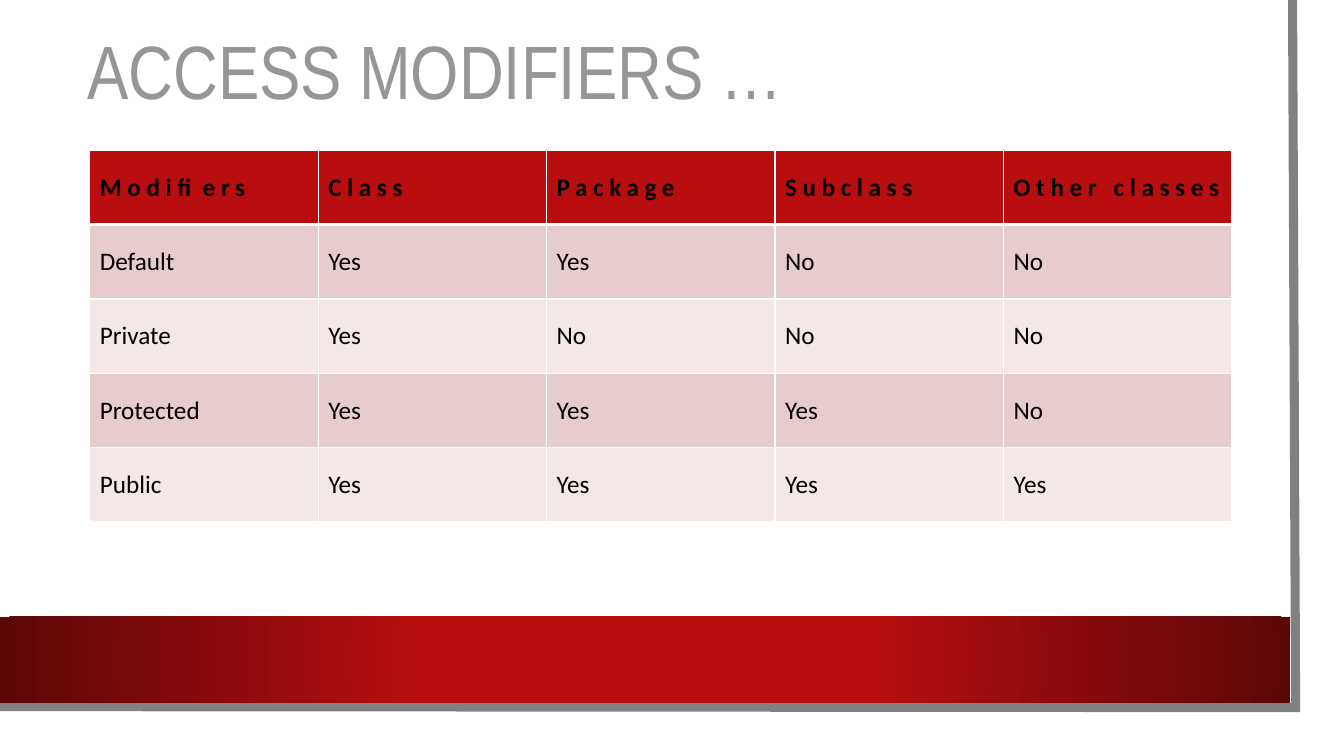
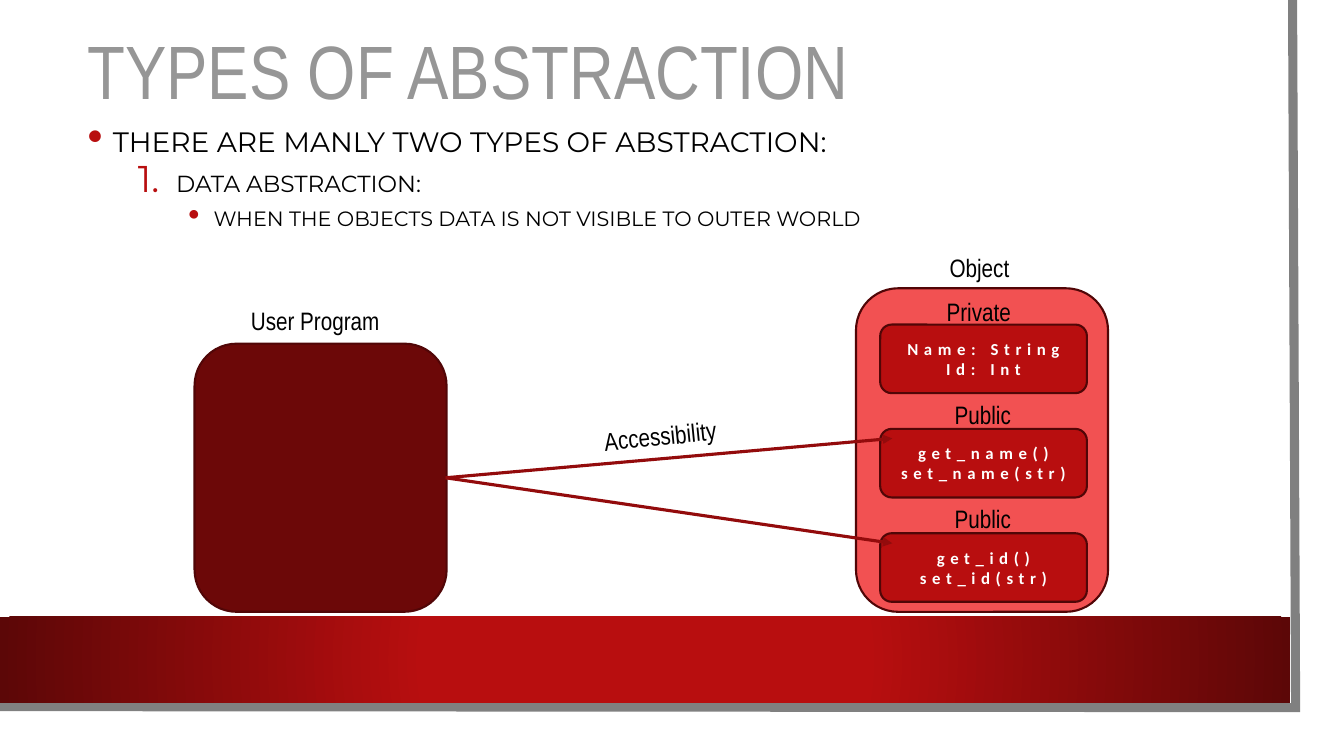
from lxml.etree import SubElement
from pptx import Presentation
from pptx.dml.color import RGBColor
from pptx.enum.shapes import MSO_CONNECTOR, MSO_SHAPE
from pptx.enum.text import MSO_ANCHOR, MSO_AUTO_SIZE, PP_ALIGN
from pptx.oxml import parse_xml
from pptx.oxml.ns import nsdecls, qn
from pptx.util import Inches, Pt

BLACK = RGBColor(0x00, 0x00, 0x00)
WHITE = RGBColor(0xFF, 0xFF, 0xFF)
TITLE_GRAY = RGBColor(0x96, 0x96, 0x96)
FRAME_GRAY = RGBColor(0x80, 0x80, 0x80)
RED = RGBColor(0xB8, 0x0E, 0x0F)
BAND_EDGE = RGBColor(0x5C, 0x07, 0x07)
DARK_RED = RGBColor(0x6C, 0x08, 0x08)
LIGHT_RED = RGBColor(0xF2, 0x51, 0x52)
OUTLINE_RED = RGBColor(0x51, 0x06, 0x07)
ARROW_RED = RGBColor(0x93, 0x0B, 0x0C)
ROW_DARK = RGBColor(0xE6, 0xCC, 0xCC)
ROW_LIGHT = RGBColor(0xF3, 0xE7, 0xE7)

HEADING_FONT = "Arial Narrow"
BODY_FONT = "Montserrat"
TABLE_FONT = "Calibri"


def add_text(slide, box, lines, size, font, color):
    """Add a text box with one paragraph per line and return it."""
    shape = slide.shapes.add_textbox(*map(Inches, box))
    frame = shape.text_frame
    frame.word_wrap = True
    frame.text = "\n".join(lines)
    for paragraph in frame.paragraphs:
        run_font = paragraph.runs[0].font
        run_font.size, run_font.name, run_font.color.rgb = Pt(size), font, color
    return shape


def add_rounded_box(slide, box, fill):
    shape = slide.shapes.add_shape(MSO_SHAPE.ROUNDED_RECTANGLE, *map(Inches, box))
    shape.shadow.inherit = False
    shape.fill.solid()
    shape.fill.fore_color.rgb = fill
    shape.line.color.rgb = OUTLINE_RED
    shape.line.width = Pt(1.5)
    return shape


presentation = Presentation()
presentation.slide_width = Inches(13.33)
presentation.slide_height = Inches(7.5)

# Frame, band and title of every slide
slides = []
for title in ("ACCESS MODIFIERS …", "TYPES OF ABSTRACTION"):
    slide = presentation.slides.add_slide(presentation.slide_layouts[6])
    slides.append(slide)

    builder = slide.shapes.build_freeform(Inches(12.82), 0)
    corners = [(Inches(12.85), Inches(7.02)), (0, Inches(7.01))]
    builder.add_line_segments(corners, close=False)
    frame_line = builder.convert_to_shape()
    frame_line.shadow.inherit = False
    frame_line.fill.background()
    frame_line.line.color.rgb = FRAME_GRAY
    frame_line.line.width = Pt(6.5)
    SubElement(frame_line.line._get_or_add_ln(), qn("a:miter"), lim="800000")

    band = slide.shapes.add_shape(
        MSO_SHAPE.RECTANGLE, 0, Inches(6.12), Inches(12.8), Inches(0.85))
    band.shadow.inherit = False
    band.line.fill.background()
    band.fill.solid()
    properties = band._element.spPr
    gradient = parse_xml(
        f'<a:gradFill {nsdecls("a")} rotWithShape="1"><a:gsLst>'
        f'<a:gs pos="34000"><a:srgbClr val="{RED}"/></a:gs>'
        f'<a:gs pos="100000"><a:srgbClr val="{BAND_EDGE}"/></a:gs></a:gsLst>'
        '<a:path path="circle"><a:fillToRect l="50000" t="50000" r="50000" b="50000"/>'
        '</a:path></a:gradFill>')
    properties.replace(properties.find(qn("a:solidFill")), gradient)

    heading = add_text(
        slide, (0.77, 0, 11.79, 1.49), [title], 54, HEADING_FONT, TITLE_GRAY)
    heading.text_frame.vertical_anchor = MSO_ANCHOR.MIDDLE
    heading.text_frame.paragraphs[0].line_spacing = 0.9

table_slide, abstraction_slide = slides

# Access modifier table
ROWS = [
    ("Modifiers", "Class", "Package", "Subclass", "Other classes"),
    ("Default", "Yes", "Yes", "No", "No"),
    ("Private", "Yes", "No", "No", "No"),
    ("Protected", "Yes", "Yes", "Yes", "No"),
    ("Public", "Yes", "Yes", "Yes", "Yes"),
]
table = table_slide.shapes.add_table(
    len(ROWS), len(ROWS[0]), Inches(0.89), Inches(1.49), Inches(11.33), Inches(3.69)).table
table.first_row = False
table.horz_banding = False
for row_index, row in enumerate(ROWS):
    is_header = row_index == 0
    if is_header:
        row_fill = RED
    else:
        row_fill = ROW_DARK if row_index % 2 else ROW_LIGHT
    border_widths = {
        "lnL": 1, "lnR": 1,
        "lnT": 3 if row_index == 1 else 1,
        "lnB": 3 if is_header else 1,
    }
    for column_index, label in enumerate(row):
        cell = table.cell(row_index, column_index)
        cell.text = label
        cell.vertical_anchor = MSO_ANCHOR.MIDDLE
        font = cell.text_frame.paragraphs[0].runs[0].font
        font.size, font.name, font.bold = Pt(18), TABLE_FONT, is_header
        font.color.rgb = BLACK
        if is_header:
            font._element.set("spc", "400")
        cell_properties = cell._tc.get_or_add_tcPr()
        for side, width in border_widths.items():
            border = SubElement(cell_properties, qn(f"a:{side}"), w=str(Pt(width)))
            border_fill = SubElement(border, qn("a:solidFill"))
            SubElement(border_fill, qn("a:srgbClr"), val=str(WHITE))
        cell.fill.solid()
        cell.fill.fore_color.rgb = row_fill

# Bulleted text
intro = add_text(
    abstraction_slide, (0.77, 1.03, 8.62, 0.68),
    ["THERE ARE MANLY TWO TYPES OF ABSTRACTION:"], 20, BODY_FONT, BLACK)
details = add_text(
    abstraction_slide, (0.77, 1.59, 9, 0.76),
    ["DATA ABSTRACTION:", "WHEN THE OBJECTS DATA IS NOT VISIBLE TO OUTER WORLD"],
    16.6, BODY_FONT, BLACK)
for shape in (intro, details):
    shape.text_frame.vertical_anchor = MSO_ANCHOR.MIDDLE
first_detail, second_detail = details.text_frame.paragraphs
second_detail.runs[0].font.size = Pt(14.8)
second_detail.space_before = Pt(5)

BULLETS = [
    (intro.text_frame.paragraphs[0], 0, 0.25, -0.25, 1.2, "buChar", {"char": "•"}),
    (first_detail, 1, 0.88, -0.38, 1.1, "buAutoNum", {"type": "arabicPeriod"}),
    (second_detail, 2, 1.25, -0.25, 1.1, "buChar", {"char": "•"}),
]
for paragraph, level, margin, indent, spacing, bullet_tag, bullet in BULLETS:
    paragraph.level = level
    paragraph.line_spacing = spacing
    paragraph_properties = paragraph._p.get_or_add_pPr()
    paragraph_properties.set("marL", str(Inches(margin)))
    paragraph_properties.set("indent", str(Inches(indent)))
    bullet_color = SubElement(paragraph_properties, qn("a:buClr"))
    SubElement(bullet_color, qn("a:srgbClr"), val=str(RED))
    SubElement(paragraph_properties, qn("a:buSzPct"), val="160000")
    SubElement(paragraph_properties, qn(f"a:{bullet_tag}"), bullet)

# Object and user program
add_rounded_box(abstraction_slide, (8.49, 2.86, 2.5, 3.21), LIGHT_RED)
add_rounded_box(abstraction_slide, (1.93, 3.41, 2.5, 2.66), DARK_RED)

MEMBERS = ["Name: String\nId: Int", "get_name()\nset_name(str)", "get_id()\nset_id(str)"]
for index, members in enumerate(MEMBERS):
    member_box = add_rounded_box(
        abstraction_slide, (8.73, 3.22 + index * 1.035, 2.05, 0.68), RED)
    member_box.text_frame.text = members
    member_box.text_frame.vertical_anchor = MSO_ANCHOR.MIDDLE
    for paragraph in member_box.text_frame.paragraphs:
        paragraph.alignment = PP_ALIGN.CENTER
        font = paragraph.runs[0].font
        font.size, font.name, font.bold = Pt(12), TABLE_FONT, True
        font.color.rgb = WHITE
        font._element.set("spc", "400")

for arrow_end in (4.35, 5.39):
    arrow = abstraction_slide.shapes.add_connector(
        MSO_CONNECTOR.STRAIGHT, Inches(4.42), Inches(4.74), Inches(8.85), Inches(arrow_end))
    arrow.line.color.rgb = ARROW_RED
    arrow.line.width = Pt(2.25)
    SubElement(arrow.line._get_or_add_ln(), qn("a:tailEnd"), type="triangle")
    SubElement(arrow._element.spPr, qn("a:effectLst"))

LABELS = [
    ("Private", (9.29, 2.89, 0.89, 0.34), 0),
    ("Public", (9.37, 3.91, 0.81, 0.34), 0),
    ("Public", (9.37, 4.94, 0.81, 0.34), 0),
    ("Object", (9.32, 2.45, 0.83, 0.34), 0),
    ("User Program", (2.39, 2.98, 1.56, 0.37), 0),
    ("Accessibility", (5.89, 4.11, 1.55, 0.4), 354.3),
]
for text, box, rotation in LABELS:
    label = add_text(abstraction_slide, box, [text], 18, HEADING_FONT, BLACK)
    label.text_frame.word_wrap = False
    label.text_frame.auto_size = MSO_AUTO_SIZE.SHAPE_TO_FIT_TEXT
    label.rotation = rotation

presentation.save("out.pptx")
